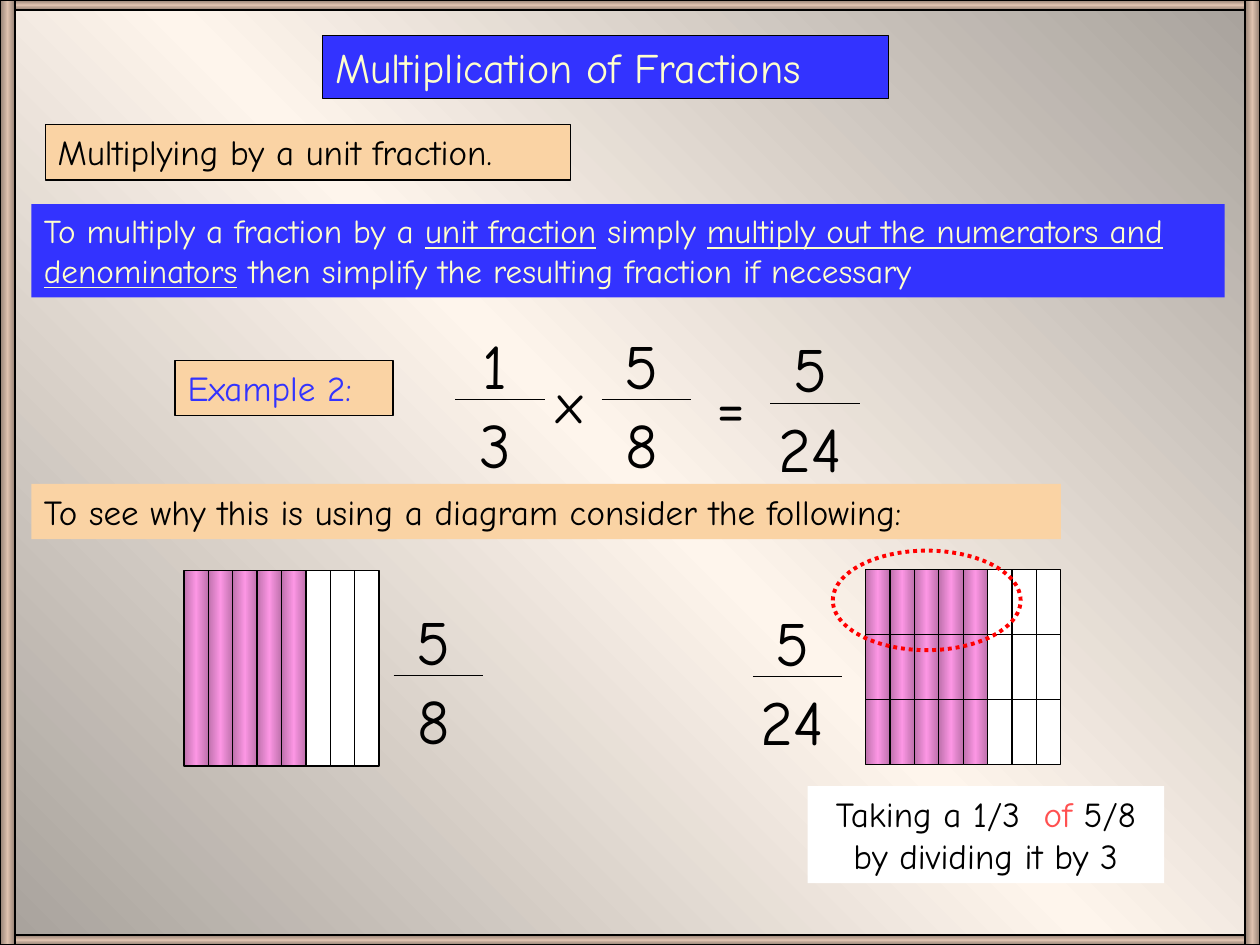
from copy import deepcopy
from dataclasses import dataclass

from pptx import Presentation
from pptx import util as u
from pptx.dml.color import RGBColor
from pptx.enum import dml, shapes, text
from pptx.oxml import ns, xmlchemy

COLUMNS, ROWS = 100, 75


@dataclass(frozen=True)
class Theme:
    font: str = "Comic Neue"
    ink: str = "000000"
    cream: str = "FFFFCC"
    blue: str = "3333FF"
    peach: str = "FAD3A4"
    white: str = "FFFFFF"
    coral: str = "FF5050"
    red: str = "FF0000"
    backdrop: tuple = ("A7A19B", "FEF5EC")
    frame: tuple = ("927F72", "DEC1AE")
    pink: tuple = ("BE71AC", "FC96E4")
    title: int = 24
    rule: int = 19
    body: int = 20
    times: int = 32
    digits: int = 36
    thin: float = 0.75
    thick: float = 2.25


def write_text(shape, content, size, color, font, align=text.PP_ALIGN.LEFT):
    """Write a string, or a list of (string, run format) pairs, into a shape."""
    frame = shape.text_frame
    frame.word_wrap = True
    frame.auto_size = text.MSO_AUTO_SIZE.NONE
    frame.vertical_anchor = text.MSO_ANCHOR.TOP
    frame.margin_left = frame.margin_right = u.Inches(0.1)
    frame.margin_top = frame.margin_bottom = u.Inches(0.05)
    paragraph = frame.paragraphs[0]
    paragraph.alignment = align
    runs = [(content, {})] if isinstance(content, str) else content
    for words, run_format in runs:
        run = paragraph.add_run()
        run.text = words
        run.font.name = font
        run.font.size = u.Pt(size)
        run.font.color.rgb = RGBColor.from_string(run_format.get("color", color))
        if run_format.get("underline"):
            run.font.underline = True


class LessonSlide:
    def __init__(self, presentation, theme):
        self.theme = theme
        self.column = presentation.slide_width / COLUMNS
        self.row = presentation.slide_height / ROWS
        self.slide = presentation.slides.add_slide(presentation.slide_layouts[5])

    def place(self, left, top, width, height):
        return (u.Emu(round(left * self.column)), u.Emu(round(top * self.row)),
                u.Emu(round(width * self.column)), u.Emu(round(height * self.row)))

    def paint(self, fill, element, color, angle=0):
        """Fill with one colour, or with an (edge, middle) gradient."""
        if color is None:
            fill.background()
        elif isinstance(color, str):
            fill.solid()
            fill.fore_color.rgb = RGBColor.from_string(color)
        else:
            edge, middle = color
            fill.gradient()
            fill.gradient_angle = (360 - angle) % 360
            stops = next(element.iter(ns.qn("a:gsLst")))
            stops.insert(1, deepcopy(stops[0]))
            for stop, position, shade in zip(fill.gradient_stops, (0, 0.5, 1),
                                             (edge, middle, edge)):
                stop.position = position
                stop.color.rgb = RGBColor.from_string(shade)

    def outline(self, line, color, weight):
        if color is None:
            line.fill.background()
        else:
            line.color.rgb = RGBColor.from_string(color)
            line.width = u.Pt(weight)

    def background(self, colors, angle):
        self.paint(self.slide.background.fill, self.slide.element, colors, angle)

    def title(self, content, box):
        shape = self.slide.shapes.title
        shape.left, shape.top, shape.width, shape.height = self.place(*box)
        self.paint(shape.fill, shape.element, self.theme.blue)
        self.outline(shape.line, self.theme.ink, self.theme.thin)
        write_text(shape, content, self.theme.title, self.theme.cream, self.theme.font)

    def figure(self, box, fill=None, line=None, weight=None, angle=0,
               kind=shapes.MSO_SHAPE.RECTANGLE):
        shape = self.slide.shapes.add_shape(kind, *self.place(*box))
        shape.shadow.inherit = False
        self.paint(shape.fill, shape.element, fill, angle)
        self.outline(shape.line, line, weight or self.theme.thin)
        return shape

    def panel(self, content, box, fill, color=None, size=None, line=None,
              align=text.PP_ALIGN.LEFT):
        shape = self.figure(box, fill, line)
        write_text(shape, content, size or self.theme.body, color or self.theme.ink,
                   self.theme.font, align)

    def symbol(self, content, box, size=None, align=text.PP_ALIGN.CENTER):
        shape = self.slide.shapes.add_textbox(*self.place(*box))
        write_text(shape, content, size or self.theme.digits, self.theme.ink,
                   self.theme.font, align)

    def rule(self, left, top, width):
        x, y, length, _ = self.place(left, top, width, 0)
        line = self.slide.shapes.add_connector(
            shapes.MSO_CONNECTOR.STRAIGHT, x, y, x + length, y)
        self.outline(line.line, self.theme.ink, self.theme.thin)
        line.element.spPr.append(xmlchemy.OxmlElement("a:effectLst"))

    def fraction(self, top, bottom, left, bar):
        self.symbol(top, (left, bar - 6.3, 9.4, 7))
        self.symbol(bottom, (left, bar, 9.4, 7))
        self.rule(left + 1.55, bar, 7.1)

    def strips(self, left, top, side, count, shaded, layers=1):
        """Draw a square cut into strips, and into layers if asked."""
        width = side / count
        for index in range(count):
            fill = self.theme.pink if index < shaded else self.theme.white
            self.figure((left + index * width, top, width, side), fill,
                        self.theme.ink, angle=180)
        for layer in range(1, layers):
            self.rule(left, top + layer * side / layers, side)


def main():
    presentation = Presentation()
    presentation.slide_width, presentation.slide_height = u.Inches(10), u.Inches(7.5)
    theme = Theme()
    page = LessonSlide(presentation, theme)

    # Backdrop and frame
    page.background(theme.backdrop, 135)
    for top in (0, ROWS - 0.8):
        page.figure((0, top, COLUMNS, 0.8), theme.frame, theme.ink, angle=90)
    for left in (0, COLUMNS - 1.2):
        page.figure((left, 0, 1.2, ROWS), theme.frame, theme.ink, angle=180)

    # Headings and rule
    page.title("Multiplication of Fractions", (25.6, 2.8, 44.9, 5))
    page.panel("Multiplying by a unit fraction.", (3.6, 9.9, 41.7, 4.4),
               theme.peach, line=theme.ink)
    underlined = {"underline": True}
    page.panel([("To multiply a fraction by a ", {}),
                ("unit fraction", underlined),
                (" simply ", {}),
                ("multiply out the numerators and denominators", underlined),
                (" then simplify the resulting fraction if necessary", {})],
               (2.5, 16.2, 94.7, 7.4), theme.blue, theme.cream, theme.rule)

    # Worked example
    page.panel("Example 2:", (13.9, 28.6, 17.3, 4.4), theme.peach, theme.blue,
               line=theme.ink)
    page.fraction("1", "3", 34.6, 31.7)
    page.symbol("x", (43.2, 28.7, 8.1, 6.4), theme.times, text.PP_ALIGN.LEFT)
    page.fraction("5", "8", 46.2, 31.7)
    page.symbol("=", (52.5, 28.6, 11, 7))
    page.fraction("5", "24", 59.6, 32)

    # Diagrams
    page.panel("To see why this is using a diagram consider the following:",
               (2.5, 38.4, 81.7, 4.4), theme.peach)
    page.strips(14.6, 45.3, 15.5, count=8, shaded=5)
    page.fraction("5", "8", 29.7, 53.6)
    page.fraction("5", "24", 58.2, 53.7)
    page.strips(68.7, 45.2, 15.5, count=8, shaded=5, layers=3)
    ring = page.figure((66.1, 43.7, 14.9, 7.9), line=theme.red, weight=theme.thick,
                       kind=shapes.MSO_SHAPE.OVAL)
    ring.line.dash_style = dml.MSO_LINE.ROUND_DOT
    page.panel([("Taking a 1/3  ", {}),
                ("of ", {"color": theme.coral}),
                ("5/8 by dividing it by 3", {})],
               (64.1, 62.4, 28.3, 7.7), theme.white, align=text.PP_ALIGN.CENTER)

    presentation.save("out.pptx")


if __name__ == "__main__":
    main()
